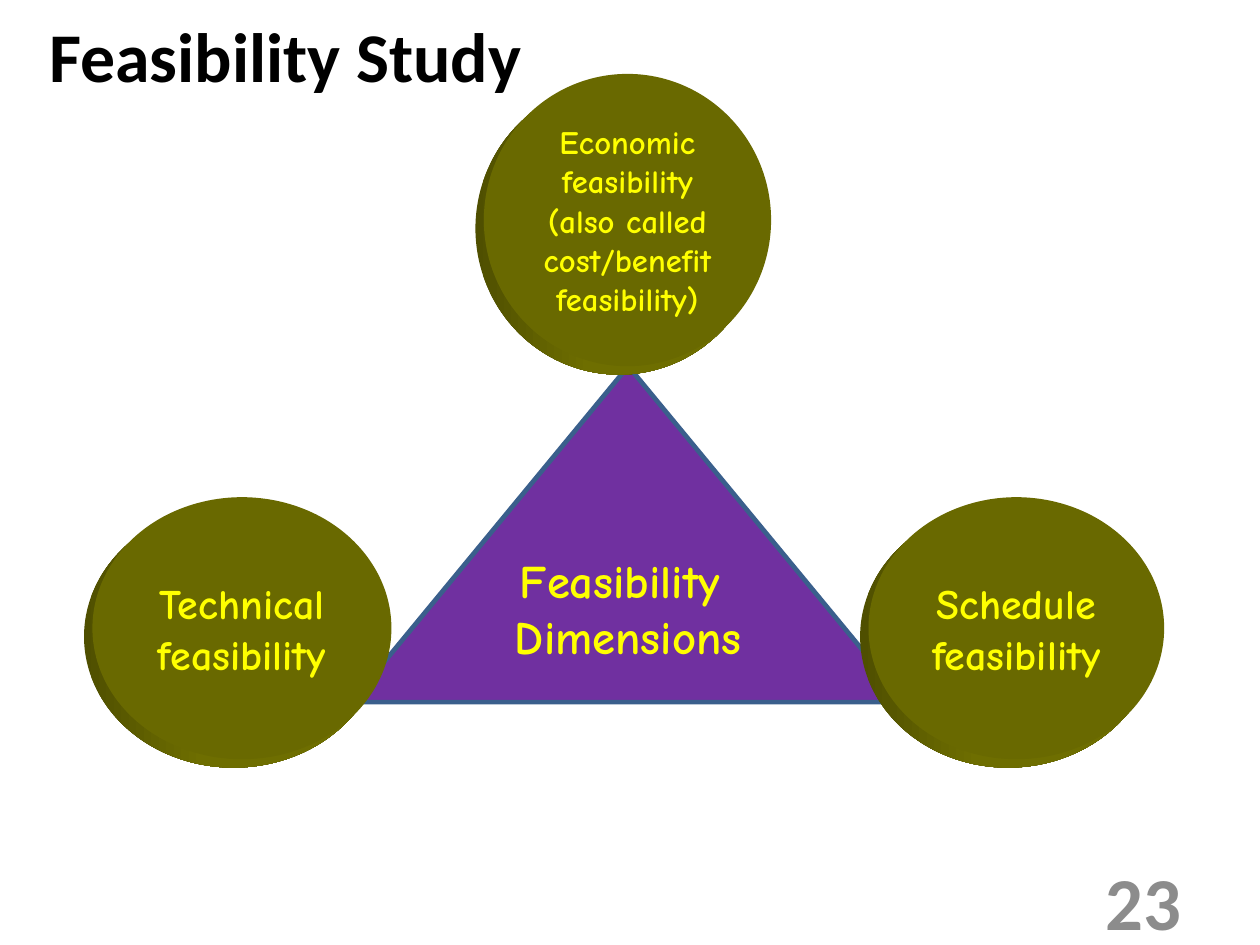
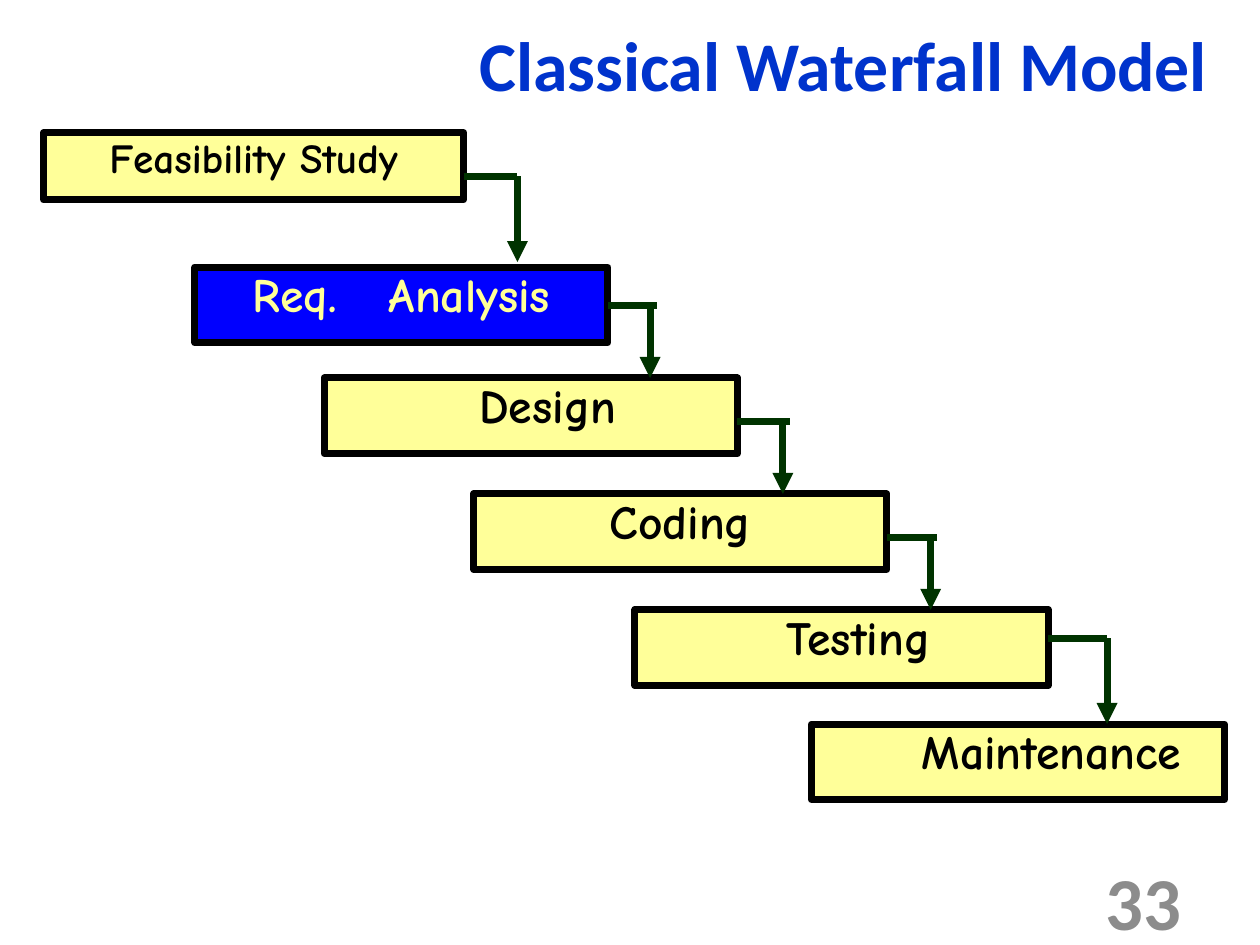
from pptx import Presentation
from pptx.dml.color import RGBColor
from pptx.enum.shapes import MSO_CONNECTOR as LINE, MSO_SHAPE as SHAPE
from pptx.enum.text import MSO_ANCHOR as ANCHOR, PP_ALIGN as ALIGN
from pptx.oxml.ns import qn
from pptx.util import Inches, Pt
from lxml import etree

COLORS = {
    "title": "000000", "title_blue": "0033CC", "number": "8C8C8C",
    "purple": "7030A0", "steel": "3A5F8C", "yellow": "FFFF00",
    "olive": "696900", "olive_dark": "4F4F00", "olive_light": "6E6E00",
    "cream": "FFFF99", "blue": "0000FF", "black": "000000", "arrow": "003300",
}
TITLE_FONT, BODY_FONT = "Calibri", "Comic Neue"
TITLE_SIZE, NUMBER_SIZE = 29.9, 32
SLIDE_WIDTH = 7.5
SLIDE_HEIGHT = SLIDE_WIDTH * 3 / 4

# Disc: left, top, width, height, text size, text
DISCS = [
    (5.17, 2.96, 1.76, 1.56, 18, "Schedule feasibility"),
    (0.55, 2.96, 1.78, 1.56, 18, "Technical feasibility"),
    (2.88, 0.44, 1.71, 1.74, 14,
     "Economic feasibility (also called cost/benefit feasibility)"),
]
DISC_DEPTH = 0.05

# Phase: text, left, top, width, height, text size, indent
PHASES = [
    ("Feasibility Study", 0.26, 0.79, 2.5, 0.4, 17.7, 0),
    ("Req. Analysis", 1.16, 1.59, 2.46, 0.45, 20.4, 0),
    ("Design", 1.93, 2.25, 2.46, 0.45, 20.4, 0.2),
    ("Coding", 2.82, 2.94, 2.46, 0.45, 20.4, 0),
    ("Testing", 3.78, 3.63, 2.46, 0.45, 20.4, 0.2),
    ("Maintenance", 4.83, 4.31, 2.46, 0.45, 20.4, 0.4),
]
CURRENT_PHASE = "Req. Analysis"
# Arrow out of each phase: elbow height, elbow x, overshoot past it, tip height
ELBOWS = [(1.05, 3.08, 0, 1.56), (1.82, 3.87, 0.04, 2.25), (2.51, 4.66, 0.04, 2.94),
          (3.2, 5.54, 0.04, 3.63), (3.8, 6.59, 0, 4.31)]


def rgb(name):
    return RGBColor.from_string(COLORS[name])


def style_run(r, size, color, font=BODY_FONT):
    r.font.size, r.font.bold, r.font.name = Pt(size), True, font
    r.font.color.rgb = rgb(color)


def write(s, text, size, color, font=BODY_FONT, align=ALIGN.CENTER,
          anchor=ANCHOR.MIDDLE, insets=(0.1, 0.05, 0.1, 0.05)):
    tf = s.text_frame
    tf.word_wrap = True
    tf.vertical_anchor = anchor
    tf.margin_left, tf.margin_top, tf.margin_right, tf.margin_bottom = map(Inches, insets)
    tf.text = text
    for p in tf.paragraphs:
        p.alignment = align
        for r in p.runs:
            style_run(r, size, color, font)
    return tf


def add_text(slide, box, *args, **kwargs):
    return write(slide.shapes.add_textbox(*map(Inches, box)), *args, **kwargs)


def add_shape(slide, kind, box, fill, line=None, width=0):
    s = slide.shapes.add_shape(kind, *map(Inches, box))
    s.shadow.inherit = False
    s.fill.solid()
    s.fill.fore_color.rgb = rgb(fill)
    if line:
        s.line.color.rgb = rgb(line)
        s.line.width = Pt(width)
    else:
        s.line.fill.background()
    return s


def add_line(slide, start, end, arrow=False):
    c = slide.shapes.add_connector(LINE.STRAIGHT, *map(Inches, start + end))
    c.line.color.rgb = rgb("arrow")
    c.line.width = Pt(3)
    if arrow:
        etree.SubElement(c.line._get_or_add_ln(), qn("a:tailEnd"), type="triangle")
    etree.SubElement(c._element.spPr, qn("a:effectLst"))


def add_disc(slide, x, y, w, h, size, text):
    # Rim, dark on the left and light below
    rim = add_shape(slide, SHAPE.OVAL, (x - DISC_DEPTH, y + DISC_DEPTH, w, h), "olive_dark")
    rim.fill.gradient()
    rim.fill.gradient_angle = 0
    for stop, color, position in zip(rim.fill.gradient_stops,
                                     ("olive_dark", "olive_light"), (0, 0.4)):
        stop.color.rgb = rgb(color)
        stop.position = position
    # Face with the text
    s = add_shape(slide, SHAPE.OVAL, (x, y, w, h), "olive")
    write(s, text, size, "yellow", insets=(0, 0, 0, 0))


def add_phase(slide, text, x, y, w, h, size, indent):
    current = text == CURRENT_PHASE
    s = add_shape(slide, SHAPE.RECTANGLE, (x, y, w, h),
                  "blue" if current else "cream", "black", 3)
    color = "cream" if current else "black"
    tf = write(s, text, size, color, anchor=ANCHOR.TOP,
               insets=(0.01 + indent, 0.04, 0.01, 0.04))
    p = tf.paragraphs[0]
    p.line_spacing, p.space_before = 0.85, Pt(8.6)
    if current:
        # Widen the gap between the two words
        first, last = text.split()
        p.runs[0].text = first
        for part in (" ", last):
            r = p.add_run()
            r.text = part
            style_run(r, size, color)
        p.runs[1].font._element.set("spc", "1500")


def add_slide(prs, title, box, color, number):
    slide = prs.slides.add_slide(prs.slide_layouts[6])
    tf = add_text(slide, box, title, TITLE_SIZE, color, TITLE_FONT,
                  insets=(0.01, 0.04, 0.01, 0.04))
    add_text(slide, (5.38, 5.21, 1.75, 0.3), number, NUMBER_SIZE, "number",
             TITLE_FONT, ALIGN.RIGHT)
    return slide, tf.paragraphs[0]


def build_feasibility(prs):
    slide, _ = add_slide(prs, "Feasibility Study", (0, 0, 3.4, 0.65), "title", "23")
    # Triangle in the middle
    s = add_shape(slide, SHAPE.ISOSCELES_TRIANGLE, (2.09, 2.18, 3.3, 2),
                  "purple", "steel", 2)
    tf = write(s, "Feasibility \nDimensions", 20, "yellow")
    for p, after in zip(tf.paragraphs, (12, 36)):
        p.line_spacing, p.space_after = 0.5, Pt(after)
    # Discs at its corners
    for disc in DISCS:
        add_disc(slide, *disc)


def build_waterfall(prs):
    slide, p = add_slide(prs, "Classical Waterfall Model", (2.82, 0.02, 4.4, 0.77),
                         "title_blue", "33")
    p.line_spacing, p.space_before = 0.94, Pt(6.8)
    for phase in PHASES:
        add_phase(slide, *phase)
    # Elbow arrows from each phase down to the next
    for (_, x, _, w, *_), (y, elbow, over, tip) in zip(PHASES, ELBOWS):
        add_line(slide, (x + w, y), (elbow + over, y))
        add_line(slide, (elbow, y), (elbow, tip), arrow=True)


def main():
    prs = Presentation()
    prs.slide_width, prs.slide_height = Inches(SLIDE_WIDTH), Inches(SLIDE_HEIGHT)
    build_feasibility(prs)
    build_waterfall(prs)
    prs.save("out.pptx")


if __name__ == "__main__":
    main()
